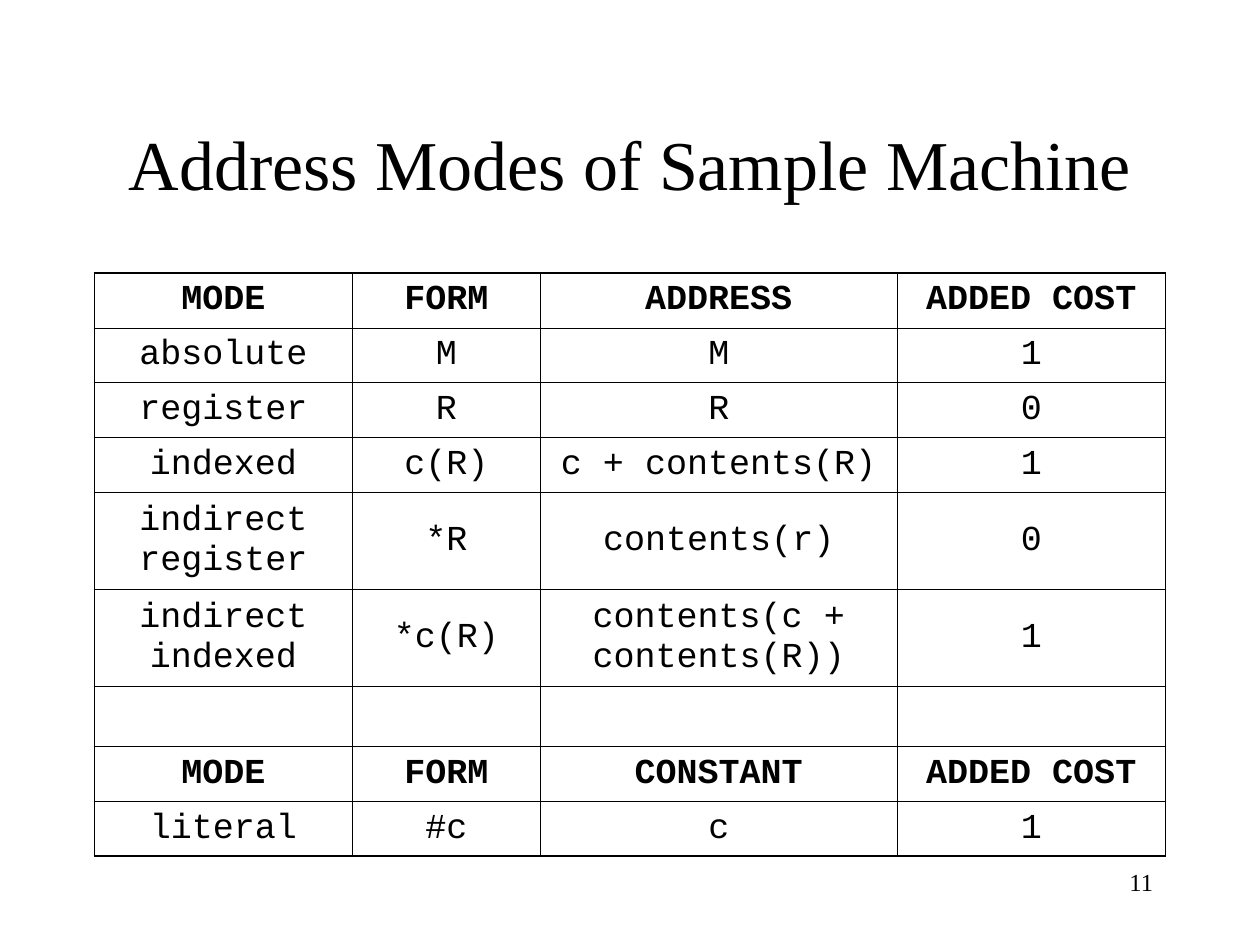
from lxml.etree import SubElement
from pptx import Presentation
from pptx.dml.color import RGBColor as RGB
from pptx.enum.text import MSO_ANCHOR as ANCHOR, PP_ALIGN as ALIGN
from pptx.oxml.ns import qn
from pptx.util import Pt

# Content
TITLE = "Address Modes of Sample Machine"
PAGE = "11"
ROWS = [
    ("MODE", "FORM", "ADDRESS", "ADDED COST"),
    ("absolute", "M", "M", "1"),
    ("register", "R", "R", "0"),
    ("indexed", "c(R)", "c + contents(R)", "1"),
    ("indirect register", "*R", "contents(r)", "0"),
    ("indirect indexed", "*c(R)", "contents(c + contents(R))", "1"),
    ("", "", "", ""),
    ("MODE", "FORM", "CONSTANT", "ADDED COST"),
    ("literal", "#c", "c", "1"),
]
HEADERS = {0, 7}

# Layout, in points
SINGLE, DOUBLE, GAP = 31.4, 55.4, 34.2
ROW_HEIGHTS = [SINGLE] * 4 + [DOUBLE] * 2 + [GAP] + [SINGLE] * 2
COL_WIDTHS = [147.4, 107.4, 204, 153.2]
LEFT, TABLE_TOP = 54, 156
WIDTH = sum(COL_WIDTHS)

THEME = {
    "ink": "000000",
    "outer": 1.08,
    "inner": 0.45,
    "title": {"name": "Times New Roman", "size": Pt(40)},
    "page": {"name": "Times New Roman", "size": Pt(14)},
    "head": {"name": "Courier New", "size": Pt(20), "bold": True},
    "body": {"name": "Courier New", "size": Pt(20), "bold": False},
}


def write(p, text, style, align):
    p.alignment = align
    r = p.add_run()
    r.text = text
    for key, value in THEME[style].items():
        setattr(r.font, key, value)
    r.font.color.rgb = RGB.from_string(THEME["ink"])


def add_text(s, box, text, style, align, anchor):
    tf = s.shapes.add_textbox(*map(Pt, box)).text_frame
    tf.word_wrap = True
    tf.vertical_anchor = anchor
    write(tf.paragraphs[0], text, style, align)


def set_borders(cell, outer_sides):
    """Rule all four sides, heavier on the table's outer edge."""
    tc_pr = cell._tc.get_or_add_tcPr()
    for i, (side, outer) in enumerate(outer_sides.items()):
        width = THEME["outer" if outer else "inner"]
        ln = tc_pr.makeelement(qn(f"a:{side}"), {"w": str(Pt(width))})
        fill = SubElement(ln, qn("a:solidFill"))
        SubElement(fill, qn("a:srgbClr"), val=THEME["ink"])
        tc_pr.insert(i, ln)


def add_mode_table(s):
    n_rows, n_cols = len(ROWS), len(COL_WIDTHS)
    frame = s.shapes.add_table(n_rows, n_cols, Pt(LEFT), Pt(TABLE_TOP),
                               Pt(WIDTH), Pt(sum(ROW_HEIGHTS)))
    table = frame.table
    table.first_row = table.horz_banding = False
    for col, width in zip(table.columns, COL_WIDTHS):
        col.width = Pt(width)
    for row, height in zip(table.rows, ROW_HEIGHTS):
        row.height = Pt(height)
    for i, texts in enumerate(ROWS):
        for j, text in enumerate(texts):
            cell = table.cell(i, j)
            cell.fill.background()
            cell.vertical_anchor = ANCHOR.MIDDLE
            set_borders(cell, {"lnL": j == 0, "lnR": j == n_cols - 1,
                               "lnT": i == 0, "lnB": i == n_rows - 1})
            if text:
                write(cell.text_frame.paragraphs[0], text,
                      "head" if i in HEADERS else "body", ALIGN.CENTER)


def main():
    prs = Presentation()
    prs.slide_width, prs.slide_height = Pt(720), Pt(540)
    s = prs.slides.add_slide(prs.slide_layouts[6])

    # Title, table and page number
    add_text(s, (LEFT, 48, WIDTH, 90), TITLE, "title", ALIGN.CENTER, ANCHOR.MIDDLE)
    add_mode_table(s)
    add_text(s, (516, 492, 150, 36), PAGE, "page", ALIGN.RIGHT, ANCHOR.TOP)

    prs.save("out.pptx")


if __name__ == "__main__":
    main()
